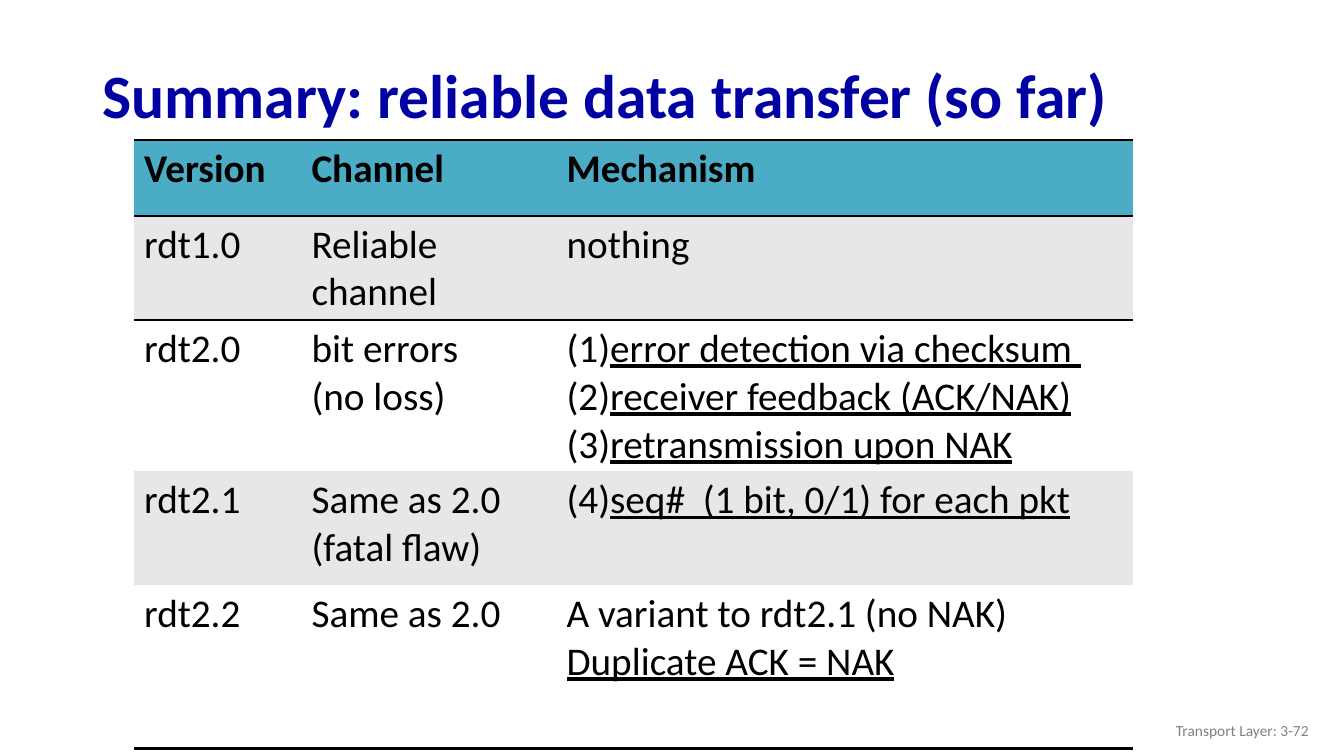
"""Build the summary slide on the reliable data transfer versions."""
from lxml import etree
from pptx import Presentation, util as u
from pptx.dml.color import RGBColor
from pptx.enum import text
from pptx.oxml import ns

BLACK = RGBColor(0x00, 0x00, 0x00)
NAVY = RGBColor(0x00, 0x00, 0xA3)
GRAY = RGBColor(0x80, 0x80, 0x80)
TEAL = RGBColor(0x4B, 0xAC, 0xC6)
BAND = RGBColor(0xE7, 0xE7, 0xE7)
WHITE = RGBColor(0xFF, 0xFF, 0xFF)
NO_STYLE = "{2D5ABB26-0587-4C30-8999-92F81FD0307C}"

COLUMNS = [1.66, 2.53, 5.72]
ROWS = [0.75, 1.03, 1.5, 1.13, 1.62]
UNDERLINE = "|"
VERSIONS = [
    [["Version"], ["Channel"], ["Mechanism"]],
    [["rdt1.0"], ["Reliable channel"], ["nothing"]],
    [["rdt2.0"], ["bit errors", "(no loss)"],
     ["|error detection via checksum ", "|receiver feedback (ACK/NAK)",
      "|retransmission upon NAK"]],
    [["rdt2.1"], ["Same as 2.0", "(fatal flaw)"],
     ["(4)|seq#  (1 bit, 0/1) for each pkt"]],
    [["rdt2.2"], ["Same as 2.0"],
     ["A variant to rdt2.1 (no NAK)", "|Duplicate ACK = NAK"]],
]
NUMBERED = VERSIONS[2][2]


def style(font, size, color, bold=False):
    font.name, font.size, font.bold = "Calibri", u.Pt(size), bold
    font.color.rgb = color


def add_rule(cell, sides):
    tc_pr = cell._tc.get_or_add_tcPr()
    for place, side in enumerate(sides):
        line = etree.Element(ns.qn(f"a:ln{side}"), w=str(u.Pt(2)))
        fill = etree.SubElement(line, ns.qn("a:solidFill"))
        etree.SubElement(fill, ns.qn("a:srgbClr"), val=str(BLACK))
        tc_pr.insert(place, line)


deck = Presentation()
deck.slide_width, deck.slide_height = u.Inches(13.33), u.Inches(7.5)
slide = deck.slides.add_slide(deck.slide_layouts[6])

for words, place, size, color, bold, align in [
    ("Summary: reliable data transfer (so far)", (0.92, 0.49, 11.5, 0.98),
     44, NAVY, True, text.PP_ALIGN.LEFT),
    ("Transport Layer: 3-72", (10.08, 7.05, 3, 0.4),
     11, GRAY, False, text.PP_ALIGN.RIGHT),
]:
    frame = slide.shapes.add_textbox(*map(u.Inches, place)).text_frame
    frame.word_wrap = True
    frame.vertical_anchor = text.MSO_ANCHOR.MIDDLE
    line = frame.paragraphs[0]
    line.text, line.alignment = words, align
    line.line_spacing = 0.9 if bold else 1.0
    style(line.font, size, color, bold)

summary = slide.shapes.add_table(
    len(ROWS), len(COLUMNS), u.Inches(1.33), u.Inches(1.39),
    u.Inches(sum(COLUMNS)), u.Inches(sum(ROWS))).table
summary.horz_banding = False
summary._tbl.tblPr.find(ns.qn("a:tableStyleId")).text = NO_STYLE
for column, width in zip(summary.columns, COLUMNS):
    column.width = u.Inches(width)
for row, height in zip(summary.rows, ROWS):
    row.height = u.Inches(height)

for r, version in enumerate(VERSIONS):
    for c, lines in enumerate(version):
        cell = summary.cell(r, c)
        cell.fill.solid()
        cell.fill.fore_color.rgb = TEAL if r == 0 else BAND if r % 2 else WHITE
        add_rule(cell, {0: "TB", 1: "T", len(ROWS) - 1: "B"}.get(r, ""))
        for i, words in enumerate(lines):
            frame = cell.text_frame
            line = frame.add_paragraph() if i else frame.paragraphs[0]
            if lines is NUMBERED:
                p_pr = line._p.get_or_add_pPr()
                p_pr.set("marL", str(u.Inches(0.43)))
                p_pr.set("indent", str(-u.Inches(0.43)))
                etree.SubElement(p_pr, ns.qn("a:buAutoNum"), type="arabicParenBoth")
            style(line.font, 28, BLACK, r == 0)
            lead, _, key = words.partition(UNDERLINE)
            for part, underlined in ((lead, False), (key, True)):
                if part:
                    run = line.add_run()
                    run.text, run.font.underline = part, underlined

deck.save("out.pptx")
